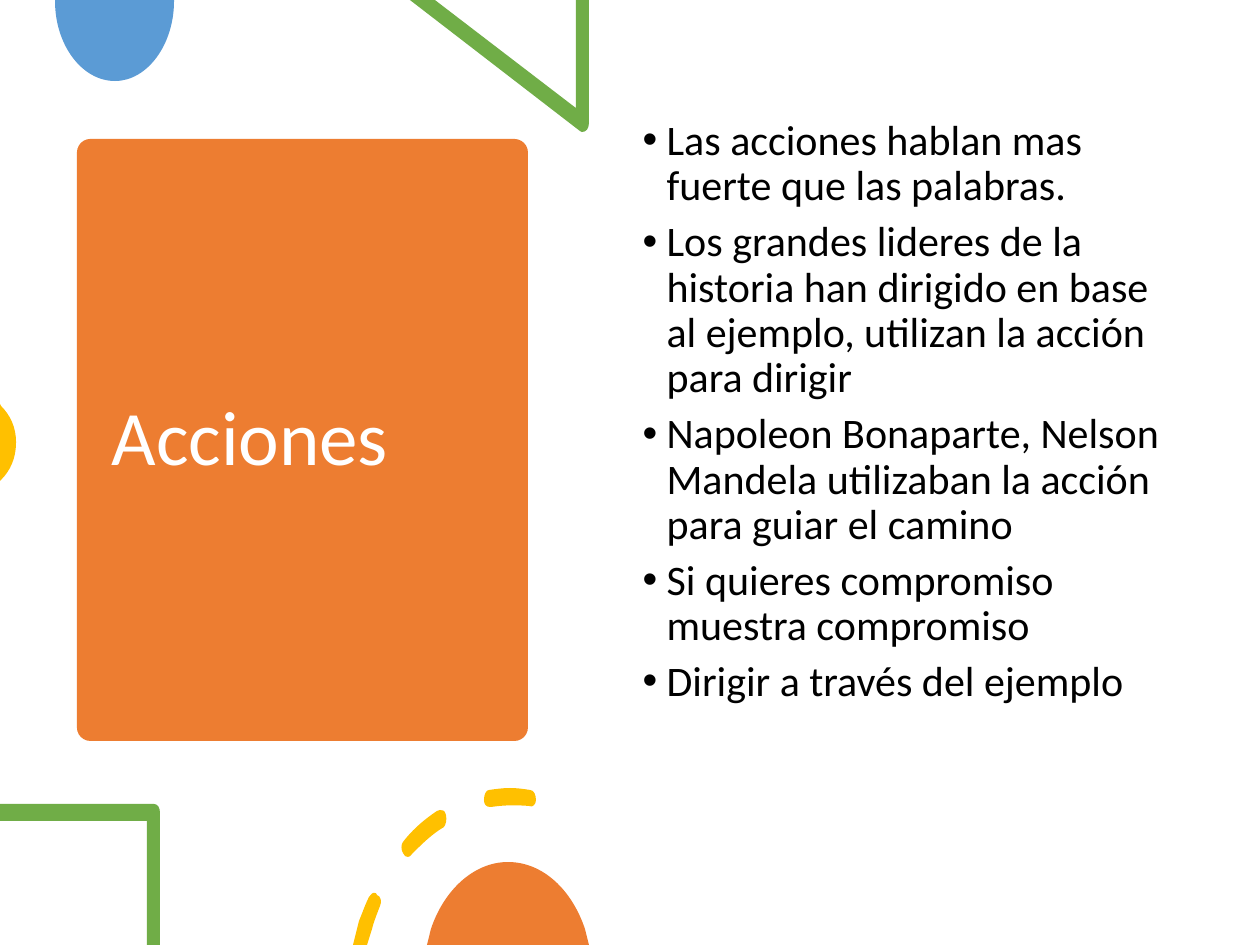
from dataclasses import dataclass

from lxml import etree
from pptx import Presentation
from pptx import util as u
from pptx.dml.color import RGBColor
from pptx.enum import shapes, text
from pptx.oxml import ns

PX = 914400 / 126
ORANGE, BLUE, GREEN, YELLOW = "ED7D31", "5B9BD5", "70AD47", "FFC000"

Step = tuple[int, ...]


@dataclass(frozen=True)
class Decoration:
    """A filled outline; two numbers are a point, six are a Bézier curve."""

    color: str
    contours: tuple[tuple[Step, ...], ...]


DECORATIONS_BEHIND_BODY = (
    Decoration(BLUE, ((
        (174, 0), (55, 0), (55, 1), (55, 45, 82, 81, 115, 81), (147, 81, 174, 45, 174, 1),
    ),)),
    Decoration(GREEN, ((
        (589, 0), (576, 0), (576, 108), (435, 0), (410, 0), (580, 131),
        (581, 132, 581, 132, 582, 132), (586, 132, 589, 129, 589, 123),
    ),)),
    Decoration(YELLOW, ((
        (0, 404), (0, 481), (1, 480), (10, 471, 16, 459, 16, 442), (16, 427, 10, 415, 1, 406),
    ),)),
)
DECORATIONS_IN_FRONT = (
    Decoration(GREEN, ((
        (154, 804), (0, 804), (0, 821), (147, 821), (147, 945), (160, 945), (160, 813),
        (160, 808, 158, 804, 154, 804),
    ),)),
    Decoration(YELLOW, (
        (
            (375, 893), (373, 892, 370, 895, 369, 897), (365, 905, 362, 914, 359, 921),
            (353, 945), (367, 945), (372, 929), (374, 921, 377, 914, 380, 906),
            (382, 902, 381, 896, 377, 895), (377, 893, 375, 893, 375, 893),
        ),
        (
            (440, 810), (438, 810, 438, 810, 437, 811), (425, 819, 413, 829, 403, 842),
            (401, 844, 401, 850, 403, 853), (404, 856, 406, 857, 408, 857), (408, 857),
            (409, 857, 411, 856, 412, 854), (422, 844, 432, 834, 444, 827),
            (446, 824, 447, 820, 446, 815), (445, 810, 442, 810, 440, 810),
        ),
        (
            (510, 788), (503, 788, 496, 789, 489, 790), (486, 790, 484, 795, 484, 800),
            (484, 804, 486, 807, 490, 807), (490, 807, 491, 807, 491, 807),
            (504, 805, 517, 805, 529, 806), (533, 808, 536, 804, 536, 800),
            (536, 795, 534, 790, 530, 790), (530, 790, 530, 790, 530, 790),
            (524, 789, 517, 788, 510, 788),
        ),
    )),
    Decoration(ORANGE, ((
        (508, 862), (474, 862, 444, 890, 431, 929), (427, 945), (589, 945), (585, 929),
        (572, 890, 543, 862, 508, 862),
    ),)),
)
BULLETS = (
    "Las acciones hablan mas fuerte que las palabras.",
    "Los grandes lideres de la historia han dirigido en base al ejemplo, "
    "utilizan la acción para dirigir",
    "Napoleon Bonaparte, Nelson Mandela utilizaban la acción para guiar el camino",
    "Si quieres compromiso muestra compromiso",
    "Dirigir a través del ejemplo",
)


def px(length: int) -> int:
    """Turn px into EMU."""
    return round(length * PX)


def rgb(color: str) -> RGBColor:
    """Turn a hex string into a colour."""
    return RGBColor.from_string(color)


def assign(target: object, values: dict) -> None:
    """Set each attribute from a dict of format values."""
    for name, value in values.items():
        setattr(target, name, value)


def place(box, left: int, top: int, width: int, height: int) -> None:
    """Move and size a box."""
    assign(box, {"left": px(left), "top": px(top), "width": px(width), "height": px(height)})


def paint(shape, color: str) -> None:
    """Give a shape a flat fill without line or shadow."""
    shape.shadow.inherit = False
    shape.fill.solid()
    shape.fill.fore_color.rgb = rgb(color)
    shape.line.fill.background()


def bend(shape, contours: tuple[tuple[Step, ...], ...]) -> None:
    """Join the three segments of every curve step into one Bézier segment."""
    segments = iter(shape._element.xpath(".//a:lnTo"))
    for contour in contours:
        for step in contour[1:]:
            first = next(segments)
            if len(step) == 6:
                curve = etree.Element(ns.qn("a:cubicBezTo"))
                first.addprevious(curve)
                for segment in (first, next(segments), next(segments)):
                    curve.append(segment[0])
                    segment.getparent().remove(segment)


def draw_decoration(page, decoration: Decoration) -> None:
    """Draw one filled outline."""
    builder = None
    for start, *steps in decoration.contours:
        if builder is None:
            builder = page.shapes.build_freeform(*start, scale=PX)
        else:
            builder.move_to(*start)
        builder.add_line_segments([step[i:i + 2] for step in steps
                                   for i in range(0, len(step), 2)])
    shape = builder.convert_to_shape()
    bend(shape, decoration.contours)
    paint(shape, decoration.color)


def write(box, lines: tuple[str, ...], anchor, size: int, color: str, before: int) -> None:
    """Fill a placeholder with formatted paragraphs."""
    frame = box.text_frame
    assign(frame, {"word_wrap": True, "auto_size": text.MSO_AUTO_SIZE.NONE,
                   "vertical_anchor": anchor})
    for index, line in enumerate(lines):
        para = frame.add_paragraph() if index else frame.paragraphs[0]
        assign(para, {"alignment": text.PP_ALIGN.LEFT, "line_spacing": 0.9,
                      "space_before": u.Pt(before)})
        span = para.add_run()
        span.text = line
        assign(span.font, {"name": "Calibri", "size": u.Pt(size)})
        span.font.color.rgb = rgb(color)


def main() -> None:
    """Build the slide."""
    deck = Presentation()
    assign(deck, {"slide_width": px(1260), "slide_height": px(945)})
    page = deck.slides.add_slide(deck.slide_layouts[1])
    title, body = page.shapes.title, page.placeholders[1]

    panel = page.shapes.add_shape(shapes.MSO_SHAPE.ROUNDED_RECTANGLE,
                                  px(77), px(139), px(451), px(602))
    panel.adjustments[0] = 0.03
    paint(panel, ORANGE)
    title._element.addprevious(panel._element)

    place(title, 99, 153, 407, 575)
    write(title, ("Acciones",), text.MSO_ANCHOR.MIDDLE, 44, "FFFFFF", 0)
    for decoration in DECORATIONS_BEHIND_BODY:
        draw_decoration(page, decoration)

    page.shapes._spTree.append(body._element)
    place(body, 630, 113, 543, 674)
    write(body, BULLETS, text.MSO_ANCHOR.TOP, 24, "000000", 6)
    for para in body.text_frame.paragraphs:
        properties = para._p.get_or_add_pPr()
        properties.set("marL", str(px(24)))
        properties.set("indent", str(px(-32)))
    for decoration in DECORATIONS_IN_FRONT:
        draw_decoration(page, decoration)
    deck.save("out.pptx")


if __name__ == "__main__":
    main()
